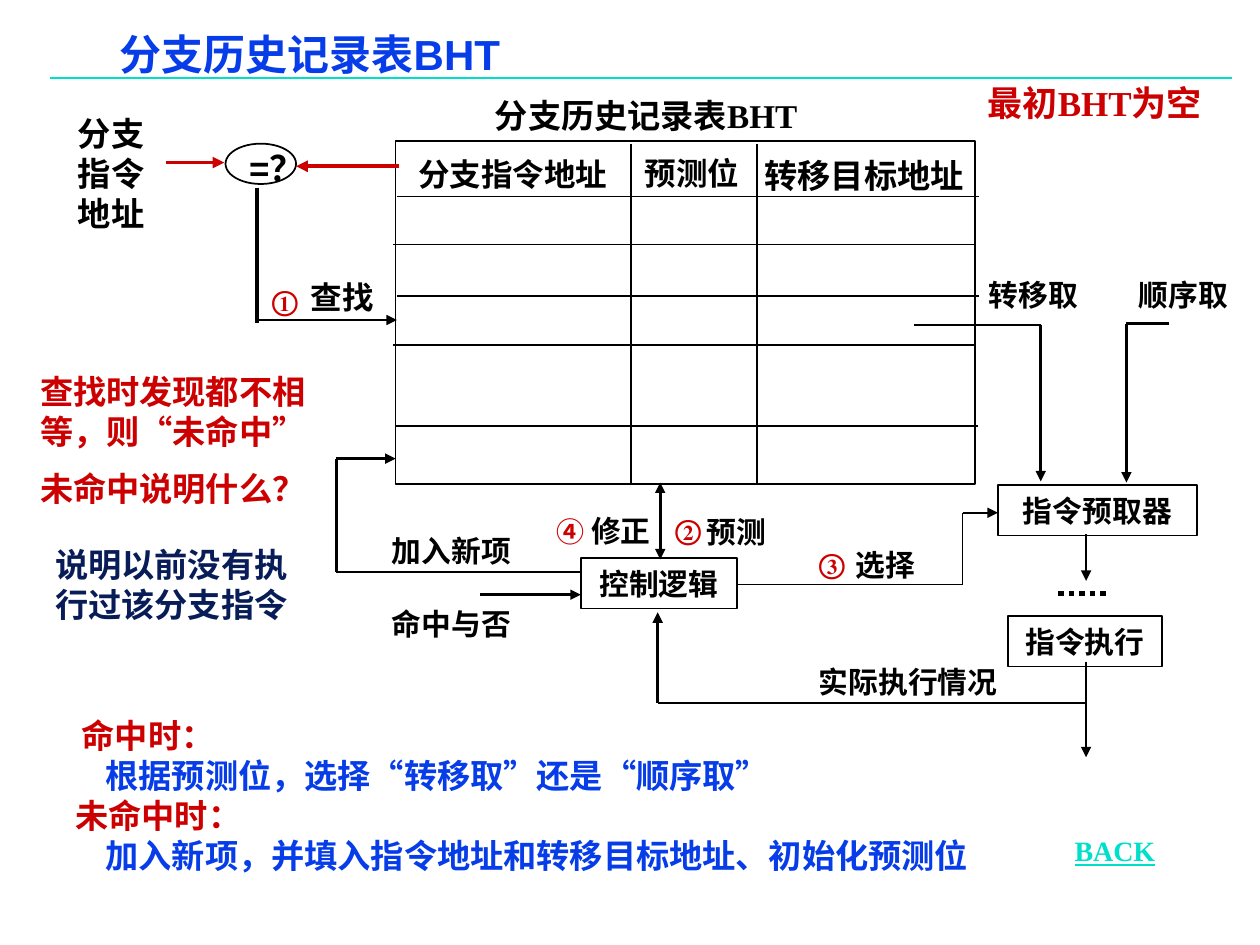
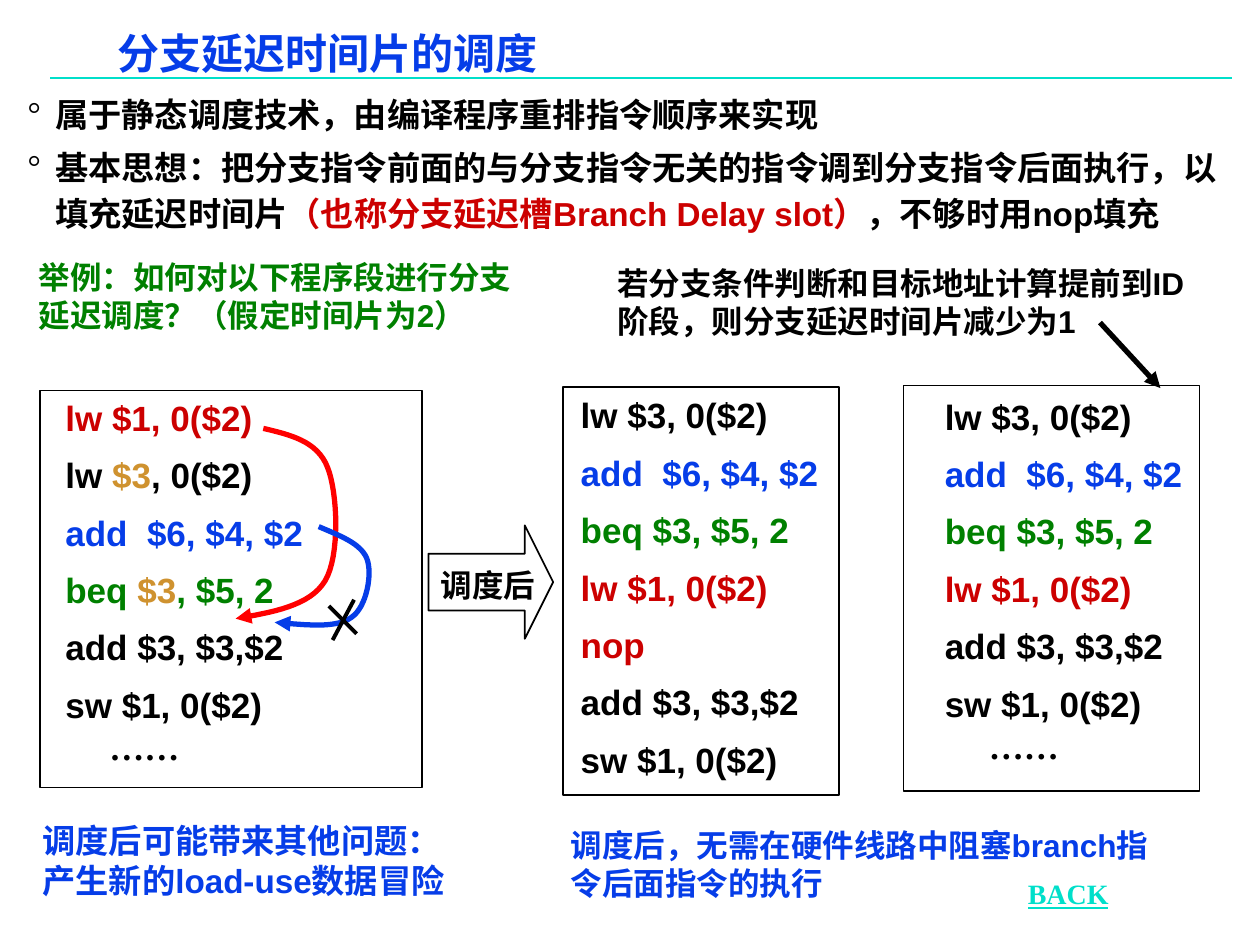
from dataclasses import dataclass

from lxml import etree
from pptx import Presentation
from pptx.dml.color import RGBColor
from pptx.enum.dml import MSO_LINE
from pptx.enum.shapes import MSO_CONNECTOR, MSO_SHAPE
from pptx.enum.text import MSO_ANCHOR, PP_ALIGN
from pptx.oxml.ns import qn
from pptx.util import Inches, Pt

RECTANGLE = MSO_SHAPE.RECTANGLE
OVAL = MSO_SHAPE.OVAL
RIGHT_ARROW = MSO_SHAPE.RIGHT_ARROW
STRAIGHT = MSO_CONNECTOR.STRAIGHT
DOTTED = MSO_LINE.ROUND_DOT
CENTER = PP_ALIGN.CENTER
TOP = MSO_ANCHOR.TOP
MIDDLE = MSO_ANCHOR.MIDDLE


@dataclass(frozen=True)
class Theme:
    black: str = "000000"
    blue: str = "063DE8"
    navy: str = "081D58"
    red: str = "CC0000"
    bright_red: str = "FF0000"
    green: str = "008000"
    gold: str = "CF922F"
    teal: str = "00DFCA"
    sans: str = "Arial"
    serif: str = "Times New Roman"
    title: int = 24
    code: int = 20
    body: int = 19
    note: int = 18
    label: int = 17
    mark: int = 16
    thin: float = 1
    flow: float = 1.5
    strong: float = 2.25
    heavy: float = 3


T = Theme()


def rgb(color):
    return RGBColor.from_string(color)


def add_run(paragraph, text, size, color, font, underline=False):
    run = paragraph.add_run()
    run.text = text
    run.font.size = Pt(size)
    run.font.name = font
    run.font.bold = True
    run.font.color.rgb = rgb(color)
    if underline:
        run.font.underline = True


def set_indent(paragraph, margin, first=0):
    properties = paragraph._p.get_or_add_pPr()
    properties.set("marL", str(Inches(margin)))
    properties.set("indent", str(Inches(first)))


def add_bullet(paragraph, mark):
    properties = paragraph._p.get_or_add_pPr()
    etree.SubElement(properties, qn("a:buFont")).set("typeface", T.serif)
    etree.SubElement(properties, qn("a:buChar")).set("char", mark)


def add_text(slide, place, lines, size, color=T.black, font=T.serif, inset=(0.1, 0.05),
             wrap=True, underline=False, spacing=None, before=0):
    box = slide.shapes.add_textbox(*map(Inches, place))
    frame = box.text_frame
    frame.word_wrap = wrap
    frame.vertical_anchor = TOP
    frame.margin_left = frame.margin_right = Inches(inset[0])
    frame.margin_top = frame.margin_bottom = Inches(inset[1])
    if isinstance(lines, str):
        lines = [[(lines, color)]]
    for index, runs in enumerate(lines):
        paragraph = frame.add_paragraph() if index else frame.paragraphs[0]
        if spacing:
            paragraph.line_spacing = spacing
        if index and before:
            paragraph.space_before = Pt(before)
        for text, run_color in runs:
            add_run(paragraph, text, size, run_color, font, underline)
    return frame


def add_outline(slide, kind, place, text=None):
    shape = slide.shapes.add_shape(kind, *map(Inches, place))
    shape.shadow.inherit = False
    shape.fill.background()
    shape.line.color.rgb = rgb(T.black)
    shape.line.width = Pt(T.thin)
    if text:
        frame = shape.text_frame
        frame.vertical_anchor = MIDDLE
        frame.paragraphs[0].alignment = CENTER
        add_run(frame.paragraphs[0], text, T.label, T.black, T.serif)
    return shape


def add_arrowhead(shape, end):
    line = shape.element.spPr.find(qn("a:ln"))
    etree.SubElement(line, qn(f"a:{end}")).set("type", "triangle")


def add_route(slide, points, color=T.black, width=T.flow, head=False, tail=False, dash=None):
    legs = list(zip(points, points[1:]))
    for index, (start, end) in enumerate(legs):
        leg = slide.shapes.add_connector(STRAIGHT, *map(Inches, start + end))
        leg.line.color.rgb = rgb(color)
        leg.line.width = Pt(width)
        if dash:
            leg.line.dash_style = dash
        if head and index == 0:
            add_arrowhead(leg, "headEnd")
        if tail and index == len(legs) - 1:
            add_arrowhead(leg, "tailEnd")
        etree.SubElement(leg.element.spPr, qn("a:effectLst"))


def bezier(start, first, second, end, steps=16):
    for step in range(1, steps + 1):
        t = step / steps
        weights = ((1 - t) ** 3, 3 * t * (1 - t) ** 2, 3 * t * t * (1 - t), t ** 3)
        knots = (start, first, second, end)
        yield tuple(sum(w * knot[axis] for w, knot in zip(weights, knots)) for axis in (0, 1))


def add_curved_arrow(slide, knots, color):
    points = [tuple(map(Inches, point))
              for i in range(0, len(knots) - 1, 3) for point in bezier(*knots[i:i + 4])]
    builder = slide.shapes.build_freeform(*map(Inches, knots[0]))
    builder.add_line_segments(points, close=False)
    curve = builder.convert_to_shape()
    curve.shadow.inherit = False
    curve.fill.background()
    curve.line.color.rgb = rgb(color)
    curve.line.width = Pt(T.heavy)
    add_arrowhead(curve, "tailEnd")


def add_page(deck, title, left, top, back):
    slide = deck.slides.add_slide(deck.slide_layouts[6])
    add_route(slide, [(0.4, 0.62), (9.78, 0.62)], T.teal, T.thin)
    add_text(slide, (left, top, 7.51, 0.41), title, T.title, T.blue, T.sans,
             inset=(0.07, 0.03), spacing=0.87)
    add_text(slide, (*back, 1.17, 0.37), "BACK", T.mark, T.teal, underline=True)
    return slide


def add_code(slide, text_place, frame_place, lines, ellipsis=False):
    frame = add_text(slide, text_place, lines, T.code, font=T.sans, spacing=1.2, before=4)
    if ellipsis:
        rest = frame.add_paragraph()
        set_indent(rest, 0.35)
        add_run(rest, "……", T.code, T.black, T.serif)
    add_outline(slide, RECTANGLE, frame_place)


def add_history_table(slide):
    add_outline(slide, RECTANGLE, (3.14, 1.12, 4.6, 2.72))
    for x in (5.01, 6.01):
        add_route(slide, [(x, 1.14), (x, 3.83)], width=T.thin)
    for left, y in ((3.15, 1.56), (3.12, 1.94), (3.15, 2.35), (3.12, 2.74), (3.14, 3.38)):
        add_route(slide, [(left, y), (left + 4.62, y)], width=T.thin)
    add_text(slide, (3.83, 0.71, 3.05, 0.42), "分支历史记录表BHT", T.body)
    add_text(slide, (3.22, 1.18, 1.82, 0.4), "分支指令地址", T.note)
    add_text(slide, (5.02, 1.17, 0.99, 0.4), "预测位", T.note, font=T.sans)
    add_text(slide, (5.97, 1.18, 1.86, 0.42), "转移目标地址", T.body)


def add_history_flow(slide):
    for place, name in (((7.92, 3.85, 1.58, 0.4), "指令预取器"),
                        ((4.61, 4.43, 1.24, 0.4), "控制逻辑"),
                        ((8, 4.89, 1.22, 0.4), "指令执行")):
        add_outline(slide, RECTANGLE, place, name)

    for route in ([(2.04, 2.54), (3.15, 2.54)],
                  [(7.25, 2.58), (8.26, 2.58), (8.26, 3.82)],
                  [(9.28, 2.57), (8.94, 2.57), (8.94, 3.83)],
                  [(8.62, 4.24), (8.62, 4.61)],
                  [(8.62, 5.25), (8.62, 6.01)],
                  [(8.61, 5.58), (5.22, 5.58), (5.22, 4.86)],
                  [(3.81, 4.72), (4.61, 4.72)],
                  [(4.61, 4.54), (2.67, 4.54), (2.67, 3.64), (3.14, 3.64)]):
        add_route(slide, route, tail=True)
    add_route(slide, [(5.24, 3.83), (5.24, 4.44)], head=True, tail=True)
    add_route(slide, [(5.86, 4.64), (7.64, 4.64), (7.64, 4.07), (7.92, 4.07)],
              width=T.thin, tail=True)
    add_route(slide, [(8.4, 4.71), (8.81, 4.71)], width=T.heavy, dash=DOTTED)

    for left, top, width, label in ((6.4, 5.22, 1.88, "实际执行情况"),
                                    (3.01, 4.76, 1.32, "命中与否"),
                                    (3.01, 4.18, 1.42, "加入新项"),
                                    (8.94, 2.15, 0.94, "顺序取"),
                                    (7.75, 2.15, 0.94, "转移取"),
                                    (6.69, 4.29, 1.12, "选择"),
                                    (5.51, 4.03, 1.12, "预测")):
        add_text(slide, (left, top, width, 0.38), label, T.label)
    add_text(slide, (2.37, 2.16, 0.7, 0.4), "查找", T.note, wrap=False)
    for left, top, number in ((2.06, 2.2, "①"), (5.26, 4.02, "②"), (6.4, 4.29, "③")):
        add_text(slide, (left, top, 0.48, 0.37), number, T.mark, T.red)
    correction = add_text(slide, (4.32, 4.02, 1.08, 0.38), "④ ", T.mark, T.red)
    add_run(correction.paragraphs[0], "修正", T.label, T.black, T.serif)


def add_lookup(slide):
    add_text(slide, (0.52, 0.85, 0.87, 1.05), "分支指令地址", T.body)
    add_text(slide, (1.88, 1.11, 0.67, 0.43), "=？", T.code, font=T.sans)
    add_outline(slide, OVAL, (1.79, 1.14, 0.56, 0.32))
    for route in ([(3.17, 1.32), (2.35, 1.32)], [(1.32, 1.29), (1.78, 1.29)]):
        add_route(slide, route, T.red, T.strong, tail=True)
    add_route(slide, [(2.04, 1.49), (2.04, 2.56)], width=T.strong)


def build_history_slide(deck):
    slide = add_page(deck, "分支历史记录表BHT", 0.88, 0.25, (8.43, 6.57))
    add_history_table(slide)
    add_lookup(slide)
    add_history_flow(slide)
    add_text(slide, (7.74, 0.6, 2.02, 0.43), "最初BHT为空", T.code, T.red)
    add_text(slide, (0.22, 2.9, 2.4, 1.21),
             [[("查找时发现都不相等，则“未命中”", T.red)], [("未命中说明什么？", T.red)]],
             T.body, font=T.sans, before=9.5)
    add_text(slide, (0.34, 4.27, 2.13, 0.73), "说明以前没有执行过该分支指令", T.body, T.navy)
    cases = add_text(slide, (0, 5.63, 8.15, 1.36), [
        [("命中时：", T.red)],
        [("根据预测位，选择“转移取”还是“顺序取”", T.blue)],
        [("未命中时：", T.red)],
        [("加入新项，并填入指令地址和转移目标地址、初始化预测位", T.blue)],
    ], T.body, font=T.sans)
    for paragraph, margin in zip(cases.paragraphs, (0.55, 0.74, 0.5, 0.74)):
        set_indent(paragraph, margin)


def build_delay_slide(deck):
    slide = add_page(deck, "分支延迟时间片的调度", 0.86, 0.24, (8.06, 6.91))
    ideas = add_text(slide, (0.15, 0.67, 9.65, 1.21), [
        [("属于静态调度技术，由编译程序重排指令顺序来实现", T.black)],
        [("基本思想：把分支指令前面的与分支指令无关的指令调到分支指令后面执行，以填充延迟时间片", T.black),
         ("（也称分支延迟槽Branch Delay slot）", T.red), ("，不够时用nop填充", T.black)],
    ], T.body, font=T.sans, inset=(0.07, 0.03), spacing=1.15, before=4)
    for paragraph in ideas.paragraphs:
        set_indent(paragraph, 0.22, -0.22)
        add_bullet(paragraph, "°")

    for place, note, color in (
            ((0.21, 2, 4.02, 0.7), "举例：如何对以下程序段进行分支延迟调度？（假定时间片为2）", T.green),
            ((4.8, 2.05, 4.83, 0.7), "若分支条件判断和目标地址计算提前到ID阶段，则分支延迟时间片减少为1", T.black),
            ((4.43, 6.51, 4.95, 0.7), "调度后，无需在硬件线路中阻塞branch指令后面指令的执行", T.blue)):
        add_text(slide, place, note, T.note, color, T.sans)
    add_text(slide, (0.24, 6.46, 3.52, 0.73),
             "调度后可能带来其他问题：产生新的load-use数据冒险", T.body, T.blue, T.sans)

    load_first = [("lw $1, 0($2)", T.red)]
    add_free = [("add  $6, $4, $2", T.blue)]
    after_branch = [[("add $3, $3,$2", T.black)], [("sw $1, 0($2)", T.black)]]
    before_code = [
        load_first,
        [("lw ", T.black), ("$3", T.gold), (", 0($2)", T.black)],
        add_free,
        [("beq ", T.green), ("$3", T.gold), (", $5, 2", T.green)],
    ]
    moved_code = [[("lw $3, 0($2)", T.black)], add_free, [("beq $3, $5, 2", T.green)], load_first]
    add_code(slide, (0.42, 3.03, 2.18, 3.66), (0.32, 3.1, 3.03, 3.15),
             before_code + after_branch, ellipsis=True)
    add_code(slide, (4.51, 3.01, 2.32, 3.29), (4.47, 3.07, 2.19, 3.24),
             moved_code + [[("nop", T.red)]] + after_branch)
    add_code(slide, (7.4, 3.02, 2.6, 3.66), (7.17, 3.06, 2.35, 3.22),
             moved_code + after_branch, ellipsis=True)

    add_curved_arrow(slide, [(2.09, 3.4), (2.3, 3.45), (2.52, 3.5), (2.6, 3.71), (2.68, 3.91),
                             (2.7, 4.41), (2.58, 4.61), (2.46, 4.81), (2.16, 4.86), (1.87, 4.91)],
                     T.bright_red)
    add_curved_arrow(slide, [(2.53, 4.18), (2.69, 4.25), (2.86, 4.31), (2.91, 4.43), (2.96, 4.55),
                             (2.91, 4.82), (2.79, 4.9), (2.67, 4.99), (2.43, 4.96), (2.18, 4.94)],
                     T.blue)
    for stroke in ([(2.81, 4.76), (2.64, 5.08)], [(2.61, 4.81), (2.83, 5.03)]):
        add_route(slide, stroke, width=T.strong)

    schedule_arrow = add_outline(slide, RIGHT_ARROW, (3.4, 4.17, 0.99, 0.9))
    schedule_arrow.adjustments[0] = 0.5
    schedule_arrow.adjustments[1] = 0.25
    add_text(slide, (3.4, 4.44, 1.1, 0.4), "调度后", T.note)
    add_route(slide, [(8.73, 2.56), (9.21, 3.08)], width=T.heavy, tail=True)


def main():
    deck = Presentation()
    deck.slide_width = Inches(10)
    deck.slide_height = Inches(7.5)
    build_history_slide(deck)
    build_delay_slide(deck)
    deck.save("out.pptx")


if __name__ == "__main__":
    main()
